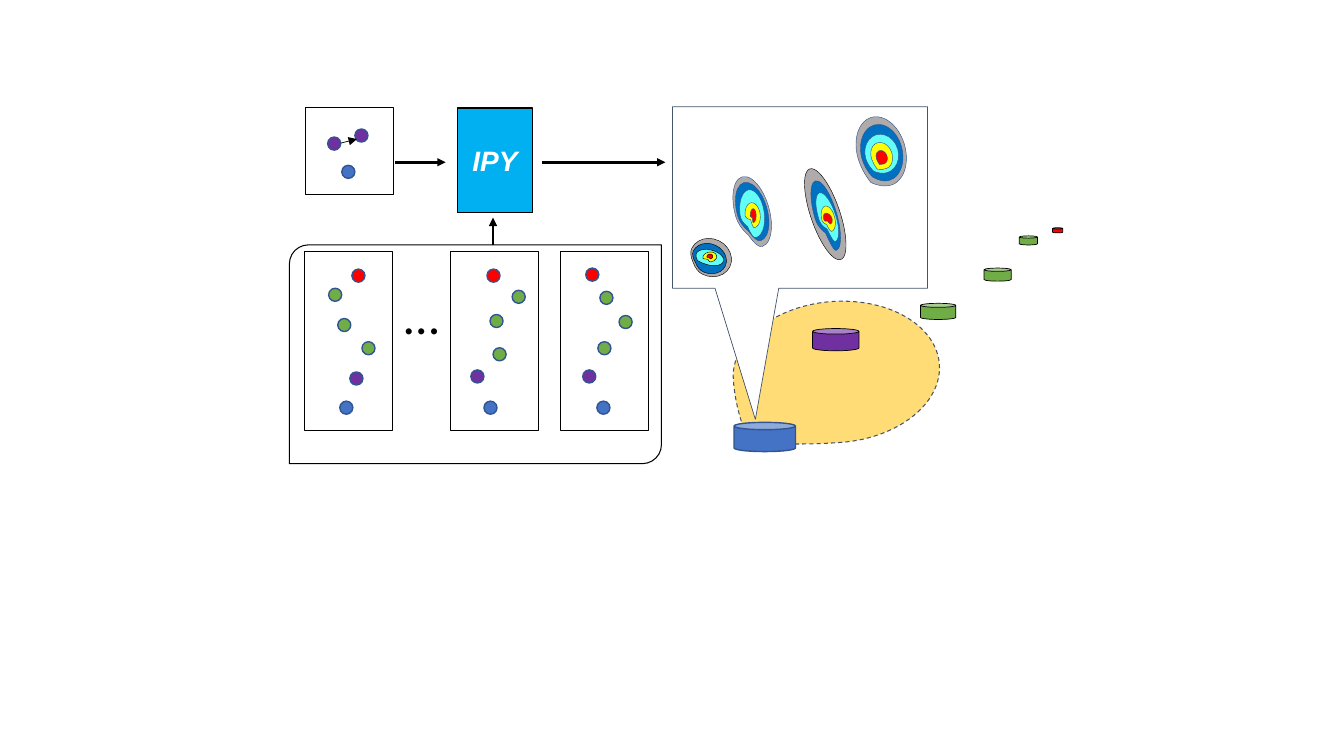
from dataclasses import dataclass

from lxml import etree
from pptx import Presentation
from pptx.dml.color import RGBColor
from pptx.enum.dml import MSO_LINE
from pptx.enum.shapes import MSO_CONNECTOR, MSO_SHAPE as Preset
from pptx.enum.text import MSO_ANCHOR, MSO_AUTO_SIZE, PP_ALIGN
from pptx.oxml.ns import qn
from pptx.util import Inches, Pt


@dataclass(frozen=True)
class Theme:
    """Colours, fonts and type sizes of the slide."""
    black: str = "000000"
    white: str = "FFFFFF"
    blue: str = "4472C4"
    outline: str = "325491"
    slate: str = "44546A"
    purple: str = "7030A0"
    green: str = "70AD47"
    red: str = "FF0000"
    amber: str = "FFC000"
    process: str = "00B0F0"
    gray: str = "AFABAB"
    deep_blue: str = "0070C0"
    cyan: str = "61FFF7"
    yellow: str = "FFFF01"
    label_font: str = "Arial"
    dots_font: str = "Calibri"
    label_size: int = 20
    dots_size: int = 36


THEME = Theme()
DOT = 0.13
PATH_COLORS = [THEME.blue, THEME.purple, THEME.green, THEME.green, THEME.green, THEME.red]
RING_COLORS = [THEME.gray, THEME.deep_blue, THEME.cyan, THEME.yellow, THEME.red]

CANS = [
    (7.28, 4.19, 0.61, 0.29, THEME.blue, THEME.outline, 1),
    (8.06, 3.26, 0.46, 0.22, THEME.purple, THEME.black, 0.5),
    (9.13, 3.01, 0.35, 0.16, THEME.green, THEME.black, 0.5),
    (10.11, 2.34, 0.18, 0.09, THEME.green, THEME.black, 0.5),
    (9.76, 2.66, 0.27, 0.13, THEME.green, THEME.black, 0.5),
    (10.44, 2.26, 0.1, 0.05, THEME.red, THEME.black, 0.5),
]

PATHS = [
    (3.02, [(3.37, 3.98), (3.47, 3.69), (3.59, 3.39), (3.35, 3.16), (3.26, 2.86), (3.49, 2.67)]),
    (4.47, [(4.8, 3.98), (4.67, 3.67), (4.89, 3.45), (4.86, 3.12), (5.08, 2.88), (4.83, 2.67)]),
    (5.56, [(5.92, 3.98), (5.78, 3.67), (5.93, 3.39), (6.14, 3.13), (5.95, 2.89), (5.81, 2.66)]),
]

PLUMES = [
    (THEME.black, [
        (6.84, 2.37, 0.42, 0.37, 206.6, 0.65),
        (6.86, 2.42, 0.35, 0.29, 204.6, 0.63),
        (6.9, 2.48, 0.28, 0.15, 194.4, 0.79),
        (6.97, 2.5, 0.14, 0.1, 170.2, 0.34),
        (7.01, 2.52, 0.06, 0.05, 168.2, 0.3),
    ]),
    (THEME.outline, [
        (8.08, 1.78, 0.22, 0.72, 163.5, 0.46),
        (8.12, 1.9, 0.17, 0.51, 162.1, 0.44),
        (8.15, 2.04, 0.13, 0.26, 165.8, 0.43),
        (8.17, 2.11, 0.08, 0.12, 152.1, 0.32),
    ]),
    (THEME.outline, [
        (7.29, 1.74, 0.34, 0.72, 164, 0.59),
        (7.31, 1.8, 0.3, 0.6, 164, 0.59),
        (7.34, 1.88, 0.24, 0.48, 171.9, 0.51),
        (7.39, 2.01, 0.15, 0.25, 173.4, 0.34),
        (7.44, 2.07, 0.06, 0.14, 180, 0.29),
    ]),
    (THEME.outline, [
        (8.5, 1.15, 0.48, 0.7, 163.8, 0.77),
        (8.54, 1.23, 0.41, 0.57, 165.6, 0.73),
        (8.58, 1.33, 0.33, 0.39, 163.9, 0.75),
        (8.64, 1.41, 0.21, 0.27, 160.2, 0.82),
        (8.69, 1.49, 0.11, 0.14, 157.6, 0.85),
    ]),
]


def add_preset(shapes, preset, box, fill=None, line=THEME.black, width=0.5,
               rotation=0, adjustments=()):
    """Add a preset shape with its fill, outline, rotation and adjustments."""
    shape = shapes.add_shape(preset, *[Inches(value) for value in box])
    shape.shadow.inherit = False
    shape.rotation = rotation
    for index, value in enumerate(adjustments):
        shape.adjustments[index] = value
    if fill:
        shape.fill.solid()
        shape.fill.fore_color.rgb = RGBColor.from_string(fill)
    else:
        shape.fill.background()
    shape.line.color.rgb = RGBColor.from_string(line)
    shape.line.width = Pt(width)
    return shape


def write_text(shape, text, *, font, size, color, bold=False, italic=False,
               align=PP_ALIGN.LEFT, anchor=MSO_ANCHOR.TOP):
    """Write one formatted paragraph in a shape."""
    shape.text_frame.vertical_anchor = anchor
    paragraph = shape.text_frame.paragraphs[0]
    paragraph.alignment = align
    run = paragraph.add_run()
    run.text = text
    run.font.name, run.font.size = font, Pt(size)
    run.font.bold, run.font.italic = bold, italic
    run.font.color.rgb = RGBColor.from_string(color)


def add_arrow(shapes, start, end, width=1.75):
    """Add a black straight arrow."""
    points = [Inches(value) for value in (*start, *end)]
    arrow = shapes.add_connector(MSO_CONNECTOR.STRAIGHT, *points)
    arrow.line.color.rgb = RGBColor.from_string(THEME.black)
    arrow.line.width = Pt(width)
    etree.SubElement(arrow.line._get_or_add_ln(), qn("a:tailEnd"), type="triangle")
    etree.SubElement(arrow._element.spPr, qn("a:effectLst"))


def add_dot(shapes, position, color):
    """Add a round node."""
    add_preset(shapes, Preset.FLOWCHART_CONNECTOR, (*position, DOT, DOT), color,
               THEME.outline, 1)


def add_range(shapes):
    """Add the translucent dashed range area."""
    area = add_preset(shapes, Preset.TEAR, (7.27, 2.99, 2.05, 1.4), THEME.amber,
                      THEME.slate, 0, 175.6, [0.895])
    area.line.dash_style = MSO_LINE.DASH
    color = area._element.spPr.find(qn("a:solidFill"))[0]
    etree.SubElement(color, qn("a:alpha"), val="54000")


def add_training_panel(shapes):
    """Add the panel of sample paths."""
    group = shapes.add_group_shape().shapes
    add_preset(group, Preset.ROUND_2_DIAG_RECTANGLE, (2.87, 2.43, 3.69, 2.17),
               THEME.white, width=0.75, adjustments=[0.087, 0])
    for left, positions in PATHS:
        for position, color in zip(positions, PATH_COLORS):
            add_dot(group, position, color)
        add_preset(group, Preset.RECTANGLE, (left, 2.49, 0.87, 1.78))
    dots = group.add_textbox(Inches(3.91), Inches(2.77), Inches(0.55), Inches(0.71))
    dots.text_frame.word_wrap = False
    dots.text_frame.auto_size = MSO_AUTO_SIZE.SHAPE_TO_FIT_TEXT
    write_text(dots, "…", font=THEME.dots_font, size=THEME.dots_size, color=THEME.black)


def add_input_panel(shapes):
    """Add the panel with the current step."""
    group = shapes.add_group_shape().shapes
    add_dot(group, (3.39, 1.64), THEME.blue)
    add_dot(group, (3.25, 1.36), THEME.purple)
    add_preset(group, Preset.RECTANGLE, (3.03, 1.07, 0.87, 0.86))
    add_dot(group, (3.52, 1.28), THEME.purple)
    add_arrow(group, (3.38, 1.42), (3.54, 1.38), 0.5)


def add_plume(shapes, line, rings):
    """Add nested contour rings, the innermost one red."""
    group = shapes.add_group_shape().shapes
    for (*box, rotation, point), color in zip(rings, RING_COLORS[-len(rings):]):
        add_preset(group, Preset.TEAR, box, color, line, 0.3, rotation, [point])


def main():
    """Build and save the slide."""
    presentation = Presentation()
    presentation.slide_width, presentation.slide_height = Inches(13.33), Inches(7.5)
    shapes = presentation.slides.add_slide(presentation.slide_layouts[6]).shapes

    add_range(shapes)
    for *box, fill, line, width in CANS:
        add_preset(shapes, Preset.CAN, box, fill, line, width)
    add_preset(shapes, Preset.RECTANGULAR_CALLOUT, (6.67, 1.06, 2.53, 1.8),
               THEME.white, THEME.slate, adjustments=[-0.175, 1.223])
    add_training_panel(shapes)
    add_input_panel(shapes)

    process = add_preset(shapes, Preset.RECTANGLE, (4.54, 1.07, 0.74, 1.04),
                         THEME.process, width=1)
    write_text(process, "IPY", font=THEME.label_font, size=THEME.label_size,
               color=THEME.white, bold=True, italic=True,
               align=PP_ALIGN.CENTER, anchor=MSO_ANCHOR.MIDDLE)
    add_arrow(shapes, (3.92, 1.61), (4.42, 1.61))
    add_arrow(shapes, (5.38, 1.61), (6.6, 1.61))
    add_arrow(shapes, (4.89, 2.43), (4.89, 2.16))

    add_preset(shapes, Preset.OVAL, (7.71, 1.98, 0.95, 0.29), THEME.gray,
               width=0.3, rotation=71.1)
    for line, rings in PLUMES:
        add_plume(shapes, line, rings)
    presentation.save("out.pptx")


if __name__ == "__main__":
    main()
